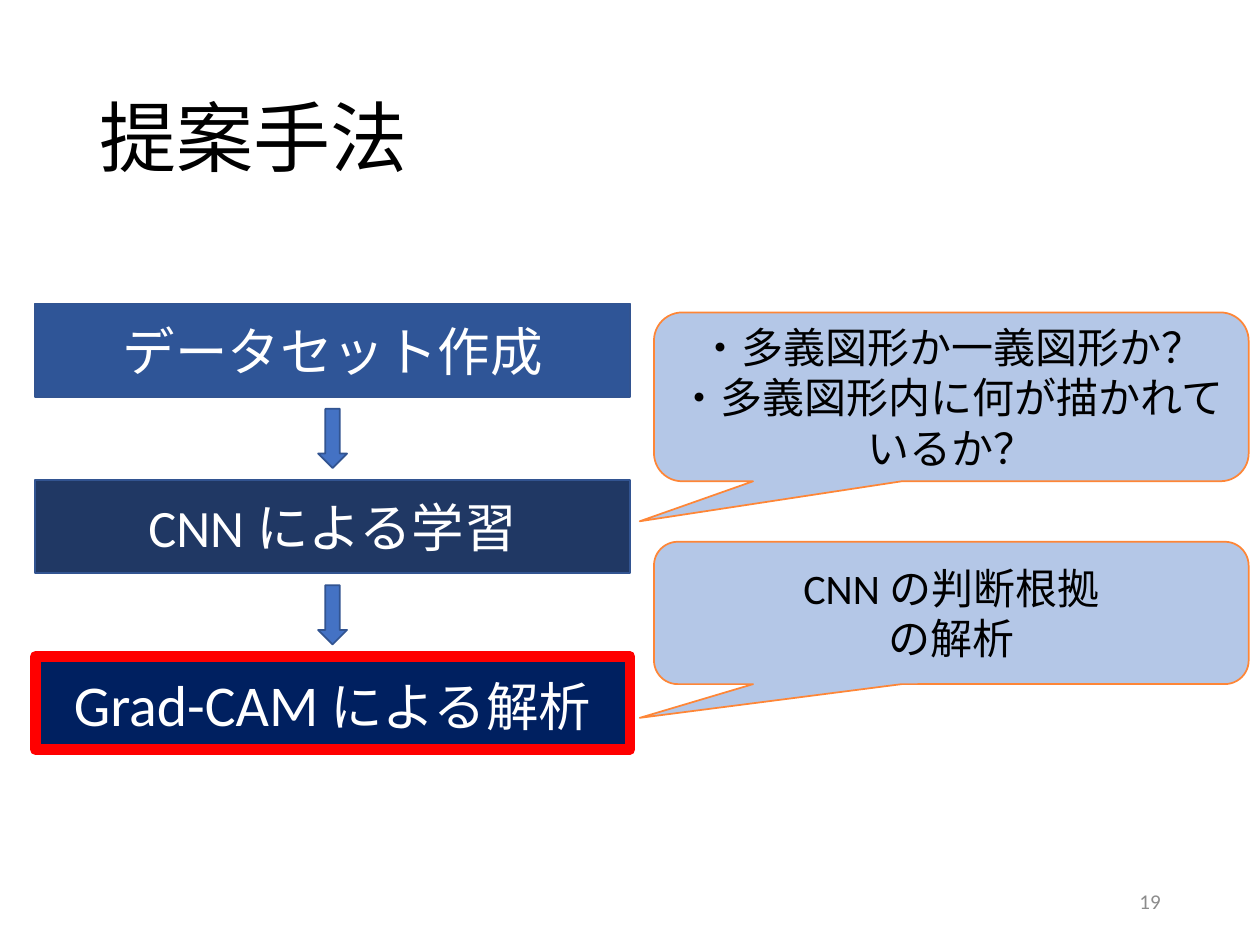
import pptx
import pptx.dml.color
import pptx.enum.shapes
import pptx.enum.text
import pptx.util
from pptx.util import Inches

SHAPE = pptx.enum.shapes.MSO_SHAPE
ALIGN = pptx.enum.text.PP_ALIGN

THEME = {
    "font": "Calibri",
    "title_size": 44, "step_size": 30, "method_size": 33,
    "callout_size": 24, "number_size": 12,
    "dark": "000000", "light": "FFFFFF", "muted": "8C8C8C",
    "arrow": "4472C4", "outline": "325491",
    "callout": "B4C7E7", "callout_outline": "FE8637",
    "highlight": "FF0000",
}

TITLE = "提案手法"
PAGE_NUMBER = "19"
# Each step: runs of (text, size), fill, outline colour, outline width
STEPS = [
    ([("データセット作成", "step_size")], "2F5597", "outline", 1),
    ([("CNN による学習", "step_size")], "203864", "outline", 1),
    ([("Grad-CAM", "method_size"), (" による解析", "step_size")],
     "002060", "highlight", 6),
]
# Each callout: top, height, lines
CALLOUTS = [
    (2.48, 1.34, ["・多義図形か一義図形か？", "・多義図形内に何が描かれているか？"]),
    (4.3, 1.13, ["CNN の判断根拠", "の解析"]),
]

STEP_LEFT, STEP_TOP, STEP_WIDTH, STEP_HEIGHT = 0.28, 2.41, 4.72, 0.74
STEP_PITCH = 1.4
ARROW_WIDTH, ARROW_HEIGHT = 0.23, 0.47
CALLOUT_LEFT = 5.19
CALLOUT_ADJUSTMENTS = (-0.524, 0.737, 0.167)


def color(value):
    return pptx.dml.color.RGBColor.from_string(THEME.get(value, value))


def write(shape, paragraphs, text_color, alignment, line_spacing=None):
    """Fill a shape with paragraphs, each a list of (text, size name) runs."""
    frame = shape.text_frame
    frame.word_wrap = True
    frame.vertical_anchor = pptx.enum.text.MSO_ANCHOR.MIDDLE
    for index, runs in enumerate(paragraphs):
        paragraph = frame.add_paragraph() if index else frame.paragraphs[0]
        paragraph.alignment = alignment
        if line_spacing:
            paragraph.line_spacing = line_spacing
        for text, size in runs:
            run = paragraph.add_run()
            run.text = text
            run.font.name = THEME["font"]
            run.font.size = pptx.util.Pt(THEME[size])
            run.font.color.rgb = color(text_color)


def add_text(slide, box, text, size, text_color, alignment, line_spacing=None):
    shape = slide.shapes.add_textbox(*map(Inches, box))
    write(shape, [[(text, size)]], text_color, alignment, line_spacing)


def add_shape(slide, kind, box, fill, outline, outline_width=1):
    shape = slide.shapes.add_shape(kind, *map(Inches, box))
    shape.shadow.inherit = False
    shape.fill.solid()
    shape.fill.fore_color.rgb = color(fill)
    shape.line.color.rgb = color(outline)
    shape.line.width = pptx.util.Pt(outline_width)
    return shape


def add_steps(slide):
    for index, (runs, fill, outline, width) in enumerate(STEPS):
        top = STEP_TOP + index * STEP_PITCH
        box = (STEP_LEFT, top, STEP_WIDTH, STEP_HEIGHT)
        step = add_shape(slide, SHAPE.RECTANGLE, box, fill, outline, width)
        write(step, [runs], "light", ALIGN.CENTER)


def add_arrows(slide):
    """Centre one arrow in each gap between consecutive steps."""
    left = STEP_LEFT + (STEP_WIDTH - ARROW_WIDTH) / 2
    gap = STEP_PITCH - STEP_HEIGHT
    for index in range(len(STEPS) - 1):
        top = (STEP_TOP + index * STEP_PITCH + STEP_HEIGHT
               + (gap - ARROW_HEIGHT) / 2)
        add_shape(slide, SHAPE.DOWN_ARROW,
                  (left, top, ARROW_WIDTH, ARROW_HEIGHT), "arrow", "outline")


def add_callouts(slide):
    for top, height, lines in CALLOUTS:
        box = (CALLOUT_LEFT, top, STEP_WIDTH, height)
        callout = add_shape(slide, SHAPE.ROUNDED_RECTANGULAR_CALLOUT, box,
                            "callout", "callout_outline")
        for index, value in enumerate(CALLOUT_ADJUSTMENTS):
            callout.adjustments[index] = value
        write(callout, [[(line, "callout_size")] for line in lines],
              "dark", ALIGN.CENTER)


def main():
    presentation = pptx.Presentation()
    presentation.slide_width = Inches(10)
    presentation.slide_height = Inches(7.5)
    slide = presentation.slides.add_slide(presentation.slide_layouts[6])
    add_text(slide, (0.69, 0.4, 8.62, 1.45), TITLE, "title_size", "dark",
             ALIGN.LEFT, 0.9)
    add_text(slide, (7.06, 6.95, 2.25, 0.4), PAGE_NUMBER, "number_size",
             "muted", ALIGN.RIGHT)
    add_steps(slide)
    add_arrows(slide)
    add_callouts(slide)
    presentation.save("out.pptx")


if __name__ == "__main__":
    main()
